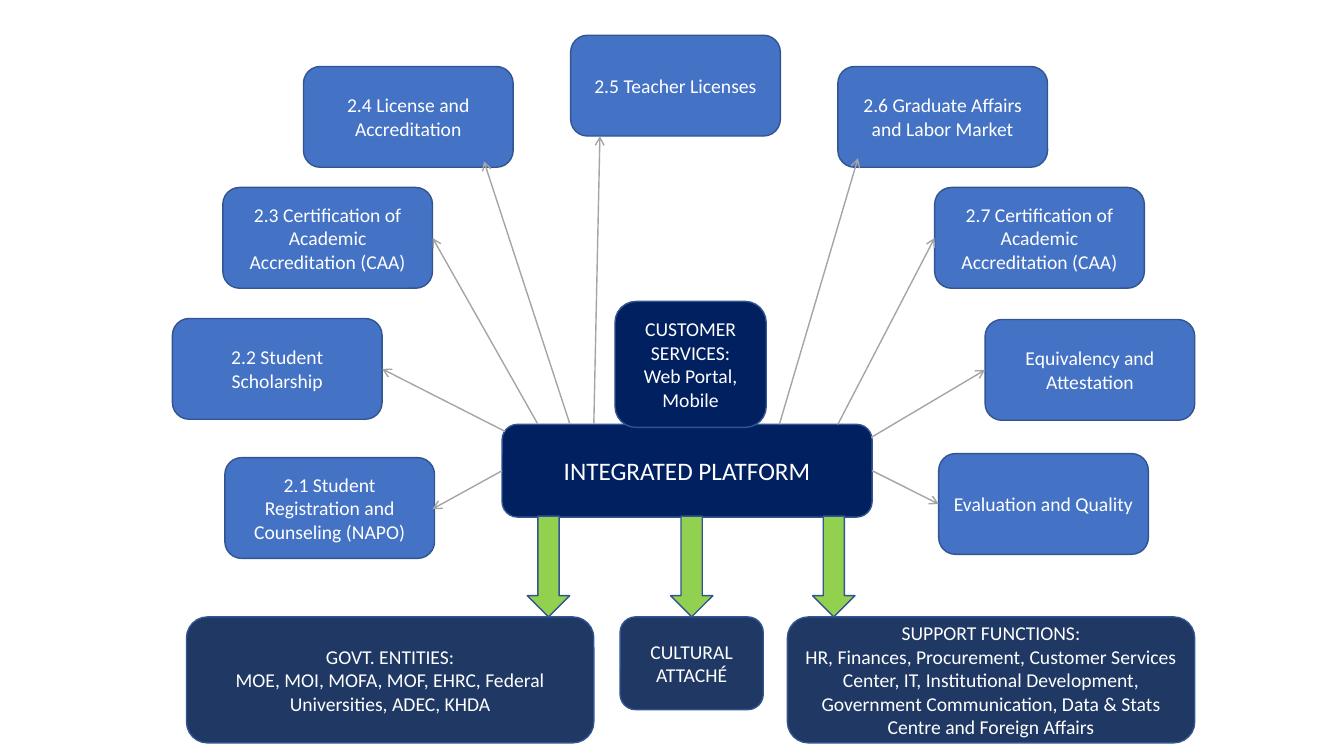
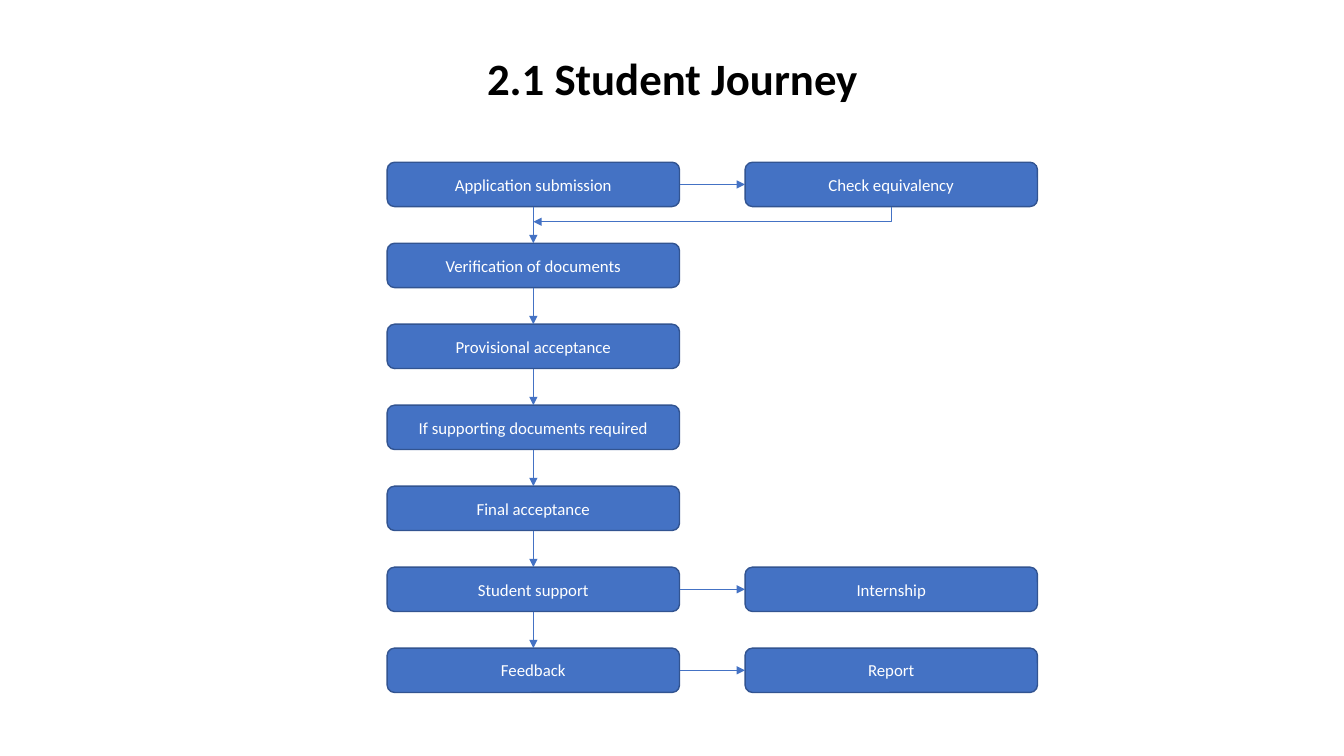
from lxml import etree
from pptx import Presentation
from pptx.dml.color import RGBColor
from pptx.enum.shapes import MSO_CONNECTOR, MSO_SHAPE
from pptx.enum.text import MSO_ANCHOR, PP_ALIGN
from pptx.oxml.ns import qn
from pptx.util import Inches, Pt

ROUNDED = MSO_SHAPE.ROUNDED_RECTANGLE
DOWN_ARROW = MSO_SHAPE.DOWN_ARROW
STRAIGHT = MSO_CONNECTOR.STRAIGHT
ELBOW = MSO_CONNECTOR.ELBOW
MIDDLE = MSO_ANCHOR.MIDDLE
BOTTOM = MSO_ANCHOR.BOTTOM
CENTER = PP_ALIGN.CENTER

WHITE = RGBColor(0xFF, 0xFF, 0xFF)
BLACK = RGBColor(0x00, 0x00, 0x00)
BLUE = RGBColor(0x44, 0x72, 0xC4)
OUTLINE = RGBColor(0x32, 0x54, 0x91)
NAVY = RGBColor(0x00, 0x20, 0x60)
SLATE = RGBColor(0x20, 0x38, 0x64)
GREEN = RGBColor(0x92, 0xD0, 0x50)
GRAY = RGBColor(0xA5, 0xA5, 0xA5)

FONT = "Calibri"
SITE_TOP, SITE_LEFT, SITE_BOTTOM, SITE_RIGHT = range(4)


class Deck:
    def __init__(self):
        self.presentation = Presentation()
        self.presentation.slide_width = Inches(13.33)
        self.presentation.slide_height = Inches(7.5)
        self.slide = None

    def new_slide(self):
        blank = self.presentation.slide_layouts[6]
        self.slide = self.presentation.slides.add_slide(blank)

    def add_text(self, frame, lines, size, color, bold=False, spacing=None):
        frame.word_wrap = True
        for index, line in enumerate(lines):
            paragraph = frame.add_paragraph() if index else frame.paragraphs[0]
            paragraph.alignment = CENTER
            if spacing:
                paragraph.line_spacing = spacing
            run = paragraph.add_run()
            run.text = line
            run.font.name = FONT
            run.font.size = Pt(size)
            run.font.bold = bold
            run.font.color.rgb = color

    def title(self, text):
        box = self.slide.shapes.add_textbox(
            Inches(0.92), Inches(0.05), Inches(11.5), Inches(1.04))
        box.text_frame.vertical_anchor = BOTTOM
        self.add_text(box.text_frame, [text], 32, BLACK, bold=True, spacing=0.9)

    def shape(self, kind, left, top, width, height, fill):
        shape = self.slide.shapes.add_shape(
            kind, Inches(left), Inches(top), Inches(width), Inches(height))
        shape.shadow.inherit = False
        shape.fill.solid()
        shape.fill.fore_color.rgb = fill
        shape.line.color.rgb = OUTLINE
        shape.line.width = Pt(1)
        return shape

    def box(self, left, top, width, height, lines, fill=BLUE, size=14):
        box = self.shape(ROUNDED, left, top, width, height, fill)
        box.text_frame.vertical_anchor = MIDDLE
        self.add_text(box.text_frame, lines, size, WHITE)
        return box

    def style_arrow(self, connector, color, width, head):
        connector.line.color.rgb = color
        connector.line.width = Pt(width)
        properties = connector._element.spPr
        line = properties.find(qn("a:ln"))
        etree.SubElement(line, qn("a:tailEnd")).set("type", head)
        etree.SubElement(properties, qn("a:effectLst"))

    def spoke(self, start, end):
        points = [Inches(value) for value in (*start, *end)]
        connector = self.slide.shapes.add_connector(STRAIGHT, *points)
        self.style_arrow(connector, GRAY, 1, "arrow")

    def link(self, source, source_site, target, target_site):
        connector = self.slide.shapes.add_connector(STRAIGHT, 0, 0, 0, 0)
        connector.begin_connect(source, source_site)
        connector.end_connect(target, target_site)
        self.style_arrow(connector, BLUE, 0.5, "triangle")

    def return_arrow(self, start, end):
        run, drop = start[0] - end[0], end[1] - start[1]
        left = (start[0] + end[0] - drop) / 2
        top = (start[1] + end[1] - run) / 2
        connector = self.slide.shapes.add_connector(
            ELBOW, Inches(left), Inches(top),
            Inches(left + drop), Inches(top + run))
        connector._element.spPr.find(qn("a:prstGeom")).set("prst", "bentConnector2")
        connector.rotation = 90
        self.style_arrow(connector, BLUE, 0.5, "triangle")


def platform_slide(deck):
    deck.new_slide()
    deck.box(4.98, 4.21, 3.67, 0.92, ["INTEGRATED PLATFORM"], NAVY, 18)
    deck.box(6.1, 2.99, 1.5, 1.25,
             ["CUSTOMER SERVICES:", "Web Portal, Mobile"], NAVY)

    recipients = [
        (1.85, 4.04, 1.25, ["GOVT. ENTITIES:",
         "MOE, MOI, MOFA, MOF, EHRC, Federal Universities, ADEC, KHDA"]),
        (6.15, 1.42, 0.92, ["CULTURAL ATTACHÉ"]),
        (7.81, 4.04, 1.25, ["SUPPORT FUNCTIONS:",
         "HR, Finances, Procurement, Customer Services Center, IT, "
         "Institutional Development, Government Communication, "
         "Data & Stats Centre and Foreign Affairs"]),
    ]
    for left, width, height, lines in recipients:
        deck.box(left, 6.12, width, height, lines, SLATE)

    services = [
        (2.23, 4.54, "2.1 Student Registration and Counseling (NAPO)",
         (4.98, 4.67), (4.29, 5.05)),
        (1.71, 3.16, "2.2 Student Scholarship", (5.01, 4.28), (3.79, 3.66)),
        (2.21, 1.86, "2.3 Certification of Academic Accreditation (CAA)",
         (5.33, 4.2), (4.29, 2.36)),
        (3.01, 0.66, "2.4 License and Accreditation", (5.65, 4.2), (4.8, 1.6)),
        (5.66, 0.35, "2.5 Teacher Licenses", (5.89, 4.2), (5.95, 1.35)),
        (8.31, 0.66, "2.6 Graduate Affairs and Labor Market",
         (7.73, 4.21), (8.51, 1.57)),
        (9.27, 1.86, "2.7 Certification of Academic Accreditation (CAA)",
         (8.31, 4.21), (9.27, 2.36)),
        (9.77, 3.17, "Equivalency and Attestation", (8.64, 4.34), (9.77, 3.67)),
        (9.31, 4.5, "Evaluation and Quality", (8.65, 4.67), (9.31, 5)),
    ]
    for left, top, label, start, end in services:
        deck.box(left, top, 2.08, 1, [label])
        deck.spoke(start, end)

    for left in (5.23, 6.65, 8.06):
        deck.shape(DOWN_ARROW, left, 5.12, 0.42, 1, GREEN)


def journey_slide(deck):
    deck.new_slide()
    deck.title("2.1 Student Journey")

    steps = [
        ("Application submission", "Check equivalency"),
        ("Verification of documents", None),
        ("Provisional acceptance", None),
        ("If supporting documents required", None),
        ("Final acceptance", None),
        ("Student support", "Internship"),
        ("Feedback", "Report"),
    ]
    step_left, side_left, width, height = 3.84, 7.39, 2.9, 0.44
    first_top, last_top = 1.61, 6.43
    pitch = (last_top - first_top) / (len(steps) - 1)

    previous = None
    for row, (label, side_label) in enumerate(steps):
        top = first_top + row * pitch
        step = deck.box(step_left, top, width, height, [label], size=12)
        if previous:
            deck.link(previous, SITE_BOTTOM, step, SITE_TOP)
        if side_label:
            side = deck.box(side_left, top, width, height, [side_label], size=12)
            deck.link(step, SITE_RIGHT, side, SITE_LEFT)
        previous = step

    deck.return_arrow((side_left + width / 2, first_top + height),
                      (step_left + width / 2, 2.2))


def main():
    deck = Deck()
    platform_slide(deck)
    journey_slide(deck)
    deck.presentation.save("out.pptx")


if __name__ == "__main__":
    main()
